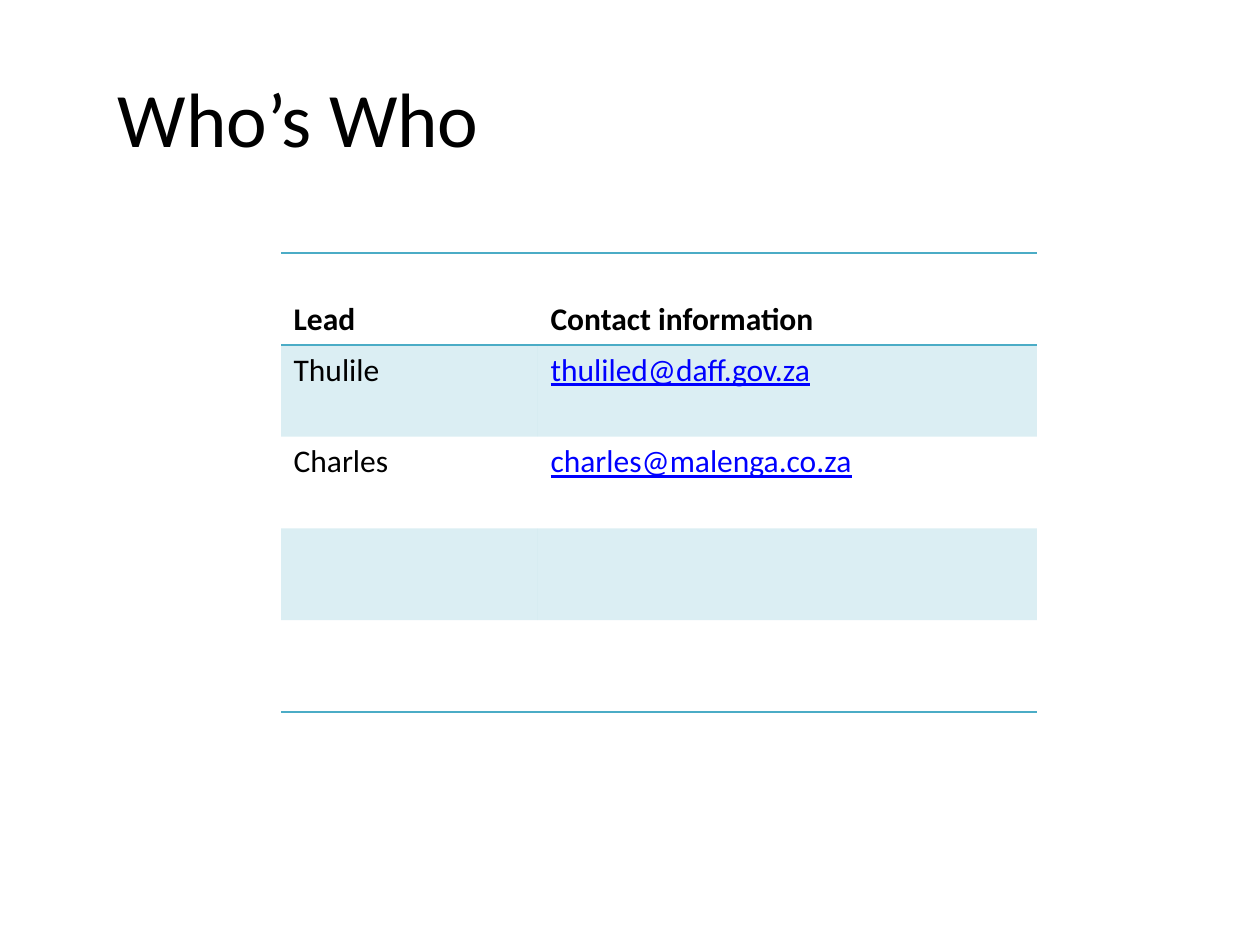
from dataclasses import dataclass

from lxml.etree import SubElement
from pptx import Presentation
from pptx.dml.color import RGBColor
from pptx.enum.text import MSO_ANCHOR, PP_ALIGN
from pptx.oxml import parse_xml
from pptx.oxml.ns import nsdecls, qn
from pptx.table import Table, _Cell
from pptx.text.text import _Paragraph
from pptx.util import Pt

PX = 914400 / 126
BLACK = RGBColor(0x00, 0x00, 0x00)
LINK_BLUE = RGBColor(0x00, 0x00, 0xFF)
TEAL = RGBColor(0x4B, 0xAC, 0xC6)

BASE = {"name": "Calibri", "size": Pt(18), "bold": False}
TITLE = BASE | {"size": Pt(44)}
HEADING = BASE | {"bold": True}
EMAIL = BASE | {"underline": True}
PLAIN_TABLE = "{2D5ABB26-0587-4C30-8999-92F81FD0307C}"
COLUMN_WIDTHS = (257, 499)


@dataclass(frozen=True)
class Contact:
    lead: str = ""
    email: str = ""


CONTACTS = (
    Contact("Thulile", "thuliled@daff.gov.za"),
    Contact("Charles", "charles@malenga.co.za"),
    Contact(),
    Contact(),
)


def px(length: int) -> int:
    return round(length * PX)


def write(paragraph: _Paragraph, text: str, style: dict, color: RGBColor = BLACK) -> None:
    run = paragraph.add_run()
    run.text = text
    for attribute, value in style.items():
        setattr(run.font, attribute, value)
    run.font.color.rgb = color


def fill_band(cell: _Cell, shaded: bool) -> None:
    if not shaded:
        cell.fill.background()
        return
    cell.fill.solid()
    cell.fill.fore_color.rgb = TEAL
    color = cell._tc.tcPr.find(f"{qn('a:solidFill')}/{qn('a:srgbClr')}")
    SubElement(color, qn("a:alpha")).set("val", "20000")


def add_borders(cell: _Cell, *sides: str) -> None:
    properties = cell._tc.get_or_add_tcPr()
    for position, side in enumerate(sides):
        border = parse_xml(
            f'<a:ln{side} {nsdecls("a")} w="{Pt(1)}"><a:solidFill>'
            f'<a:srgbClr val="{TEAL}"/></a:solidFill></a:ln{side}>'
        )
        properties.insert(position, border)


def fill_contacts(table: Table) -> None:
    for column, width in zip(table.columns, COLUMN_WIDTHS):
        column.width = px(width)
    for column, heading in enumerate(("Lead", "Contact information")):
        header = table.cell(0, column)
        write(header.text_frame.paragraphs[0], heading, HEADING)
        header.vertical_anchor = MSO_ANCHOR.BOTTOM
        fill_band(header, False)
        add_borders(header, "T", "B")
    for row, contact in enumerate(CONTACTS, start=1):
        entries = ((contact.lead, BASE, BLACK), (contact.email, EMAIL, LINK_BLUE))
        for column, (text, style, color) in enumerate(entries):
            cell = table.cell(row, column)
            if text:
                write(cell.text_frame.paragraphs[0], text, style, color)
            fill_band(cell, row % 2 == 1)
            if row == len(CONTACTS):
                add_borders(cell, "B")


def main() -> None:
    presentation = Presentation()
    presentation.slide_width, presentation.slide_height = px(1260), px(945)
    slide = presentation.slides.add_slide(presentation.slide_layouts[5])

    title = slide.shapes.title
    title.left, title.top, title.width, title.height = map(px, (105, 38, 1113, 157))
    title.text_frame.vertical_anchor = MSO_ANCHOR.MIDDLE
    heading = title.text_frame.paragraphs[0]
    heading.alignment = PP_ALIGN.LEFT
    write(heading, "Who’s Who", TITLE)

    bounds = map(px, (281, 253, sum(COLUMN_WIDTHS), 459))
    contacts = slide.shapes.add_table(len(CONTACTS) + 1, 2, *bounds).table
    contacts._tbl.tblPr.find(qn("a:tableStyleId")).text = PLAIN_TABLE
    contacts.horz_banding = False
    fill_contacts(contacts)

    presentation.save("out.pptx")


if __name__ == "__main__":
    main()
